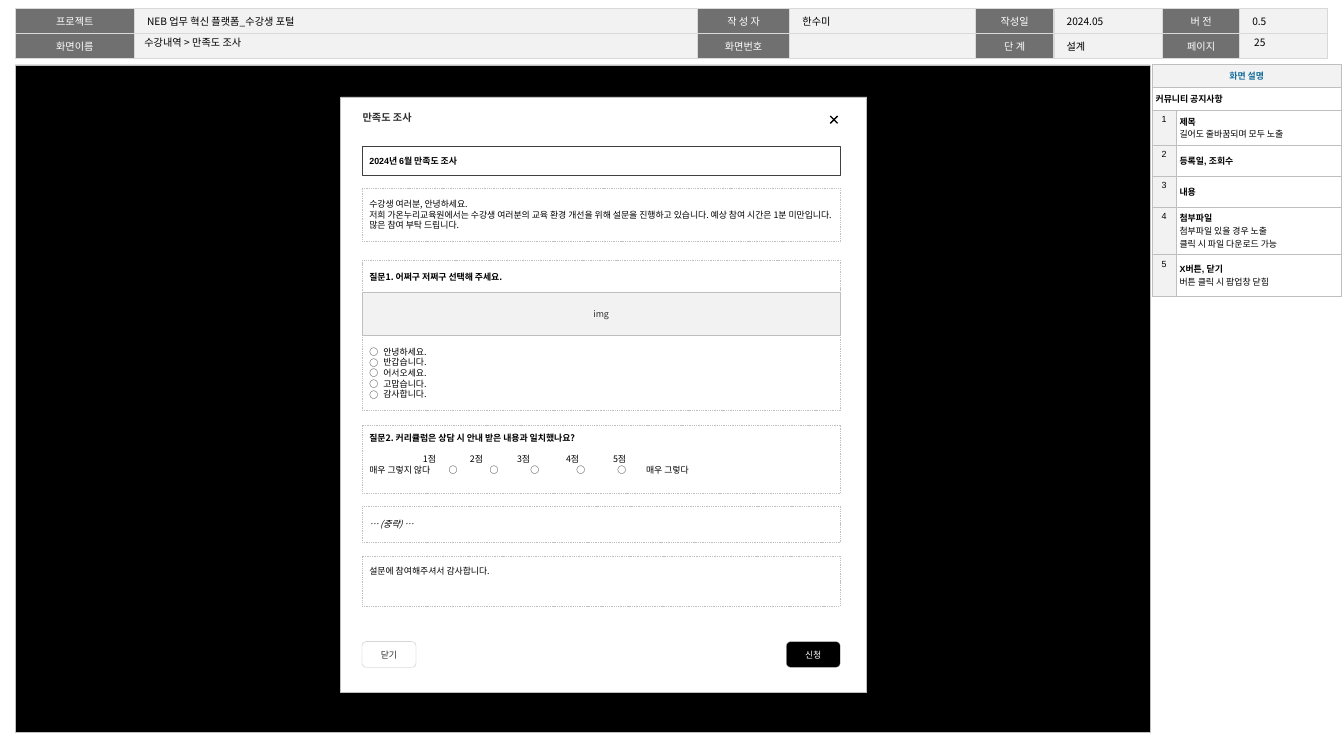
from dataclasses import dataclass
from typing import Optional

from lxml.etree import SubElement
from pptx import Presentation
from pptx.dml.color import RGBColor
from pptx.enum.dml import MSO_LINE_DASH_STYLE as Dash
from pptx.enum.shapes import MSO_CONNECTOR as Connector, MSO_SHAPE as Preset
from pptx.enum.text import MSO_ANCHOR as Anchor, MSO_AUTO_SIZE as AutoSize, PP_ALIGN as Align
from pptx.oxml.ns import qn
from pptx.util import Pt


@dataclass(frozen=True)
class Theme:
    white: str = "FFFFFF"
    black: str = "000000"
    ink: str = "2E2E2E"
    label: str = "707070"
    pale: str = "F2F2F2"
    grid: str = "D9D9D9"
    border: str = "BFBFBF"
    outline: str = "404040"
    accent: str = "176F9B"
    korean: str = "Noto Sans CJK KR"
    latin: str = "Arial"
    heading: float = 8
    body: float = 7


THEME = Theme()
CONTENT_LEFT, CONTENT_WIDTH = 285.1, 376.6


@dataclass(frozen=True)
class Line:
    text: str
    bold: bool = False
    italic: bool = False
    align: Align = Align.LEFT
    size: float = THEME.body
    color: str = THEME.black
    font: str = THEME.korean
    spacing: float = 1.0
    before: float = 0
    tabs: tuple[float, ...] = ()
    bullet: str = ""


@dataclass(frozen=True)
class Box:
    top: float
    height: float
    lines: tuple[Line, ...] = ()
    left: float = CONTENT_LEFT
    width: float = CONTENT_WIDTH
    fill: str = THEME.white
    border: str = THEME.border
    weight: float = 0.25
    dash: Optional[Dash] = None
    preset: Preset = Preset.RECTANGLE
    anchor: Anchor = Anchor.MIDDLE
    insets: tuple[float, float] = (5.8, 2.9)


@dataclass(frozen=True)
class Cell:
    lines: tuple[Line, ...]
    fill: str
    anchor: Anchor = Anchor.TOP


def rgb(color: str) -> RGBColor:
    return RGBColor.from_string(color)


def write_lines(frame, lines: tuple[Line, ...]) -> None:
    for index, line in enumerate(lines):
        paragraph = frame.add_paragraph() if index else frame.paragraphs[0]
        paragraph.text = line.text
        paragraph.alignment = line.align
        paragraph.line_spacing = line.spacing
        paragraph.space_before = Pt(line.before)
        properties = paragraph._p.get_or_add_pPr()
        if line.bullet:
            properties.set("marL", str(Pt(11)))
            properties.set("indent", str(-Pt(11)))
            SubElement(properties, qn("a:buFont"), typeface=THEME.korean)
            SubElement(properties, qn("a:buChar"), char=line.bullet)
        if line.tabs:
            stops = SubElement(properties, qn("a:tabLst"))
            for position in line.tabs:
                SubElement(stops, qn("a:tab"), pos=str(Pt(position)), algn="l")
        font = paragraph.font
        font.size, font.bold, font.italic = Pt(line.size), line.bold, line.italic
        font.color.rgb = rgb(line.color)
        font.name = line.font
        SubElement(properties.find(qn("a:defRPr")), qn("a:ea"), typeface=THEME.korean)


def fill_frame(shape, lines: tuple[Line, ...], anchor: Anchor, insets: tuple[float, float]) -> None:
    frame = shape.text_frame
    frame.word_wrap = True
    frame.auto_size = AutoSize.NONE
    frame.vertical_anchor = anchor
    frame.margin_left = frame.margin_right = Pt(insets[0])
    frame.margin_top = frame.margin_bottom = Pt(insets[1])
    write_lines(frame, lines)


def draw_box(slide, box: Box) -> None:
    shape = slide.shapes.add_shape(box.preset, Pt(box.left), Pt(box.top), Pt(box.width), Pt(box.height))
    shape.shadow.inherit = False
    shape.fill.solid()
    shape.fill.fore_color.rgb = rgb(box.fill)
    shape.line.color.rgb = rgb(box.border)
    shape.line.width = Pt(box.weight)
    if box.dash is not None:
        shape.line.dash_style = box.dash
    fill_frame(shape, box.lines, box.anchor, box.insets)


def place_text(slide, shape, left: float, top: float, width: float, height: float,
               lines: tuple[Line, ...], insets: tuple[float, float]) -> None:
    shape.left, shape.top, shape.width, shape.height = Pt(left), Pt(top), Pt(width), Pt(height)
    fill_frame(shape, lines, Anchor.MIDDLE, insets)
    slide.shapes._spTree.append(shape._element)


def draw_table(slide, left: float, top: float, columns: tuple[float, ...], heights: tuple[float, ...],
               rows: list[list[Cell]], border: str, weight: float, inset: float) -> None:
    table = slide.shapes.add_table(len(heights), len(columns), Pt(left), Pt(top),
                                   Pt(sum(columns)), Pt(sum(heights))).table
    table.first_row = table.horz_banding = False
    for column, width in zip(table.columns, columns):
        column.width = Pt(width)
    for row_index, (row, height) in enumerate(zip(rows, heights)):
        table.rows[row_index].height = Pt(height)
        if len(row) < len(columns):
            table.cell(row_index, 0).merge(table.cell(row_index, len(columns) - 1))
        for column_index, content in enumerate(row):
            cell = table.cell(row_index, column_index)
            cell.margin_left = cell.margin_right = Pt(inset)
            cell.margin_top = cell.margin_bottom = Pt(3.6)
            cell.vertical_anchor = content.anchor
            properties = cell._tc.get_or_add_tcPr()
            for side in ("lnL", "lnR", "lnT", "lnB"):
                edge = SubElement(properties, qn(f"a:{side}"), w=str(Pt(weight)))
                SubElement(SubElement(edge, qn("a:solidFill")), qn("a:srgbClr"), val=border)
            cell.fill.solid()
            cell.fill.fore_color.rgb = rgb(content.fill)
            write_lines(cell.text_frame, content.lines)


def header_cell(text: str, is_label: bool) -> Cell:
    line = Line(text, size=THEME.heading, spacing=1.05,
                align=Align.CENTER if is_label else Align.LEFT,
                color=THEME.white if is_label else THEME.black)
    return Cell((line,), THEME.label if is_label else THEME.pale, Anchor.MIDDLE)


def note_line(text: str, bold: bool = False, align: Align = Align.LEFT) -> Line:
    return Line(text, bold=bold, align=align, font=THEME.latin)


def draw_header(slide) -> None:
    texts = [("프로젝트", "NEB 업무 혁신 플랫폼_수강생 포털", "작 성 자", "한수미", "작성일", "2024.05", "버 전", "0.5"),
             ("화면이름", "", "화면번호", "", "단 계", "설계", "페이지", "")]
    rows = [[header_cell(text, index % 2 == 0) for index, text in enumerate(row)] for row in texts]
    draw_table(slide, 12.2, 6.5, (93.6, 443.5, 72.7, 146.2, 61.9, 85.7, 60.5, 69.1),
               (19.9, 19.9), rows, THEME.grid, 1, 10)


def draw_notes(slide) -> None:
    notes = [("제목", "길어도 줄바꿈되며 모두 노출"), ("등록일, 조회수",), ("내용",),
             ("첨부파일", "첨부파일 있을 경우 노출", "클릭 시 파일 다운로드 가능"),
             ("X버튼, 닫기", "버튼 클릭 시 팝업창 닫힘")]
    heading = Line("화면 설명", bold=True, align=Align.CENTER, color=THEME.accent)
    rows = [[Cell((heading,), THEME.pale, Anchor.MIDDLE)],
            [Cell((note_line("커뮤니티 공지사항", True),), THEME.white)]]
    for number, (name, *details) in enumerate(notes, 1):
        lines = (note_line(name, True), *map(note_line, details))
        rows.append([Cell((note_line(str(number), align=Align.CENTER),), THEME.pale),
                     Cell(lines, THEME.white, Anchor.MIDDLE)])
    draw_table(slide, 907.2, 50.8, (18.9, 130.3), (18, 18, 24.4, 24.4, 24.4, 33.1, 33.1),
               rows, THEME.border, 0.25, 2.9)


def draw_close_mark(slide) -> None:
    for start, end in ((91.4, 97.2), (97.2, 91.4)):
        stroke = slide.shapes.add_connector(Connector.STRAIGHT, Pt(653.8), Pt(start), Pt(659.6), Pt(end))
        stroke.line.color.rgb = rgb(THEME.black)
        stroke.line.width = Pt(1)
        SubElement(stroke._element.spPr, qn("a:effectLst"))


def button(text: str, left: float, fill: str, color: str) -> Box:
    return Box(505.4, 20.2, (Line(text, align=Align.CENTER, color=color, font=THEME.latin),),
               left=left, width=42.5, fill=fill, preset=Preset.ROUNDED_RECTANGLE, insets=(2.9, 0))


def survey_boxes() -> list[Box]:
    return [
        Box(115.5, 22.6, (Line("2024년 6월 만족도 조사", bold=True, font=THEME.latin),), border=THEME.outline),
        Box(147.9, 42.2, (Line("수강생 여러분, 안녕하세요."), Line(
            "저희 가온누리교육원에서는 수강생 여러분의 교육 환경 개선을 위해 설문을 진행하고 있습니다. "
            "예상 참여 시간은 1분 미만입니다. 많은 참여 부탁 드립니다.")), dash=Dash.DASH),
        Box(205.2, 117.7, (Line("질문1. 어쩌구 저쩌구 선택해 주세요.", bold=True),),
            dash=Dash.DASH, anchor=Anchor.TOP, insets=(5.8, 8.7)),
        Box(230.2, 33.8, (Line("img", align=Align.CENTER, color=THEME.ink),), fill=THEME.pale, insets=(2.9, 0)),
        Box(334.8, 54, (
            Line("질문2. 커리큘럼은 상담 시 안내 받은 내용과 일치했나요?", bold=True),
            Line("\t1점\t2점\t3점\t4점\t5점", before=8.4, tabs=(42.2, 79.2, 116.3, 154.9, 191.9)),
            Line("매우 그렇지 않다\t○\t○\t○\t○\t○\t매우 그렇다", tabs=(62.3, 94.6, 126.8, 163, 195.3, 217.9))),
            dash=Dash.DASH, anchor=Anchor.TOP, insets=(5.8, 5.6)),
        Box(398.9, 28.1, (Line("… (중략) …", italic=True),), dash=Dash.DASH),
        Box(438.2, 39.6, (Line("설문에 참여해주셔서 감사합니다."),),
            dash=Dash.DASH, anchor=Anchor.TOP, insets=(5.8, 7.1)),
        button("닫기", CONTENT_LEFT, THEME.white, THEME.ink),
        button("신청", 619.2, THEME.black, THEME.white),
    ]


def main() -> None:
    presentation = Presentation()
    presentation.slide_width, presentation.slide_height = Pt(1058.4), Pt(595.44)
    slide = presentation.slides.add_slide(presentation.slide_layouts[1])
    title, options = slide.placeholders
    draw_header(slide)
    draw_box(slide, Box(51.1, 525.6, left=12.2, width=893.5, fill=THEME.black, weight=0.5))
    place_text(slide, title, 105.8, 27.4, 425.5, 11.5,
               (Line("수강내역 > 만족도 조사", size=THEME.heading),), (7.9, 3.6))
    page_number = slide.shapes.add_textbox(0, 0, 0, 0)
    place_text(slide, page_number, 980.6, 27.4, 51.8, 11.5,
               (Line("25", size=THEME.heading),), (7.2, 3.6))
    popup_title = Line("만족도 조사", bold=True, size=THEME.heading, color=THEME.ink)
    draw_box(slide, Box(76.3, 469.4, (popup_title,), left=268.2, width=414.4, weight=0.5,
                        anchor=Anchor.TOP, insets=(17.3, 11.5)))
    draw_close_mark(slide)
    draw_notes(slide)
    for box in survey_boxes():
        draw_box(slide, box)
    answers = ("안녕하세요.", "반갑습니다.", "어서오세요.", "고맙습니다.", "감사합니다.")
    place_text(slide, options, CONTENT_LEFT, 264.9, CONTENT_WIDTH, 57.6,
               tuple(Line(answer, bullet="○") for answer in answers), (5.8, 2.9))
    presentation.save("out.pptx")


if __name__ == "__main__":
    main()
